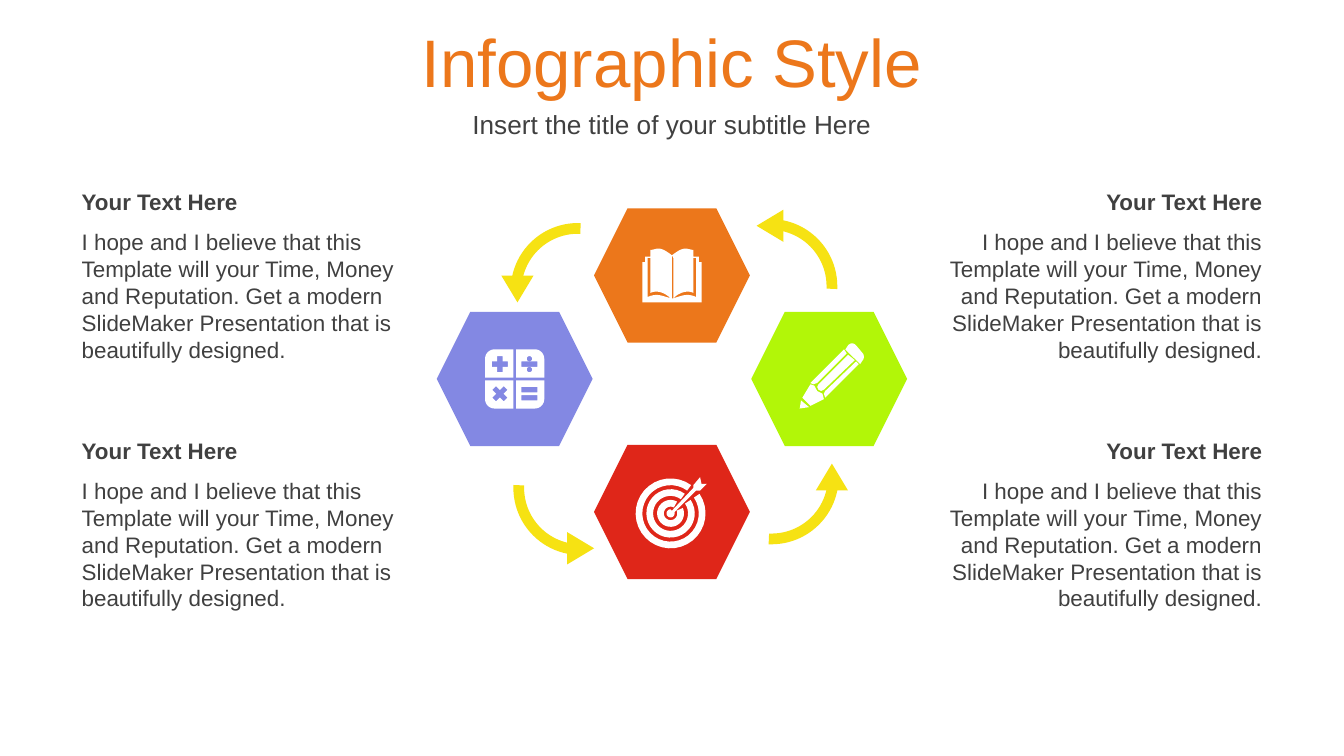
from math import cos, sin, radians
from pptx import Presentation
from pptx.dml.color import RGBColor
from pptx.enum.shapes import MSO_SHAPE as Shape
from pptx.enum.text import MSO_ANCHOR as Anchor, PP_ALIGN as Align
from pptx.util import Inches, Pt

ORANGE, VIOLET, LIME, RED = "EC771B", "8388E3", "B2F608", "DF2619"
YELLOW, WHITE, GREY = "F6E213", "FFFFFF", "404040"
HEADING = "Your Text Here"
BODY = ("I hope and I believe that this Template will your Time, Money and "
        "Reputation. Get a modern SlideMaker Presentation that is beautifully designed.")


def color(code):
    return RGBColor.from_string(code)


def arc(x, y, radius, start, end, steps=32):
    angles = [radians(start + (end - start) * i / steps) for i in range(steps + 1)]
    return [(x + radius * cos(a), y + radius * sin(a)) for a in angles]


def curve(p0, p1, p2, p3, steps=8):
    points = []
    for i in range(steps + 1):
        t = i / steps
        weights = (1 - t) ** 3, 3 * t * (1 - t) ** 2, 3 * t * t * (1 - t), t ** 3
        points.append(tuple(sum(w * p[axis] for w, p in zip(weights, (p0, p1, p2, p3)))
                            for axis in (0, 1)))
    return points


def bar(left, top, right, bottom):
    return [(left, top), (right, top), (right, bottom), (left, bottom)]


def mirror(points, axis):
    return [(2 * axis - x, y) for x, y in reversed(points)]


def plus(x, y, turn=0, arm=0.06, half=0.02):
    c, s = cos(radians(turn)), sin(radians(turn))
    corners = [(arm, -half), (arm, half), (half, half), (half, arm), (-half, arm),
               (-half, half), (-arm, half), (-arm, -half), (-half, -half),
               (-half, -arm), (half, -arm), (half, -half)]
    return [(x + a * c - b * s, y + a * s + b * c) for a, b in corners]


def book():
    spine = 5
    half = (curve((spine, 1.9), (5.04, 1.87), (5.07, 1.85), (5.1, 1.85))
            + curve((5.1, 1.85), (5.12, 1.85), (5.14, 1.86), (5.16, 1.86))
            + [(5.16, 1.91), (5.2, 1.91), (5.2, 1.95), (5.22, 1.95), (5.22, 2.25)])
    leaf = (curve((5.01, 2.22), (5.08, 2.2), (5.11, 2.18), (5.18, 2.21))
            + [(5.18, 1.92), (5.16, 1.92)]
            + curve((5.16, 2.18), (5.12, 2.16), (5.06, 2.17), (5.01, 2.22)))
    slit = [(spine, 1.9), (5.01, 1.92), (5.01, 2.22), (spine, 2.22)]
    return [half + mirror(half, spine), leaf, mirror(leaf, spine), slit]


def target():
    x, y = 4.99, 3.82
    rings = [arc(x, y, outer, start, end) + arc(x, y, inner, end, start)
             for outer, inner, start, end in ((0.1, 0.05, -24, 299),
                                              (0.18, 0.13, -34, 306),
                                              (0.26, 0.21, -34, 306))]
    arrow = ([(5.16, 3.63), (5.16, 3.61), (5.21, 3.55), (5.22, 3.6), (5.26, 3.6),
              (5.21, 3.65), (5.18, 3.65), (5.02, 3.81)]
             + arc(x, y, 0.03, 0, 270) + [(5, 3.8)])
    return [*rings, arrow]


def calculator():
    x, y = 3.83, 2.82
    tile = [(0, 0), (0.21, 0)] + arc(0.14, 0.14, 0.07, 0, 90) + [(0, 0.21)]
    tiles = [[(x + across * (a + 0.01), y + down * (b + 0.01)) for a, b in tile]
             for across in (-1, 1) for down in (-1, 1)]
    bars = [bar(3.88, top, 4, top + 0.04) for top in (2.69, 2.88, 2.94)]
    dots = [arc(3.94, dot, 0.02, 0, 360) for dot in (2.67, 2.75)]
    return [*tiles, *bars, *dots, plus(3.72, 2.71), plus(3.72, 2.93, 45)]


def pencil():
    tip = [(6.02, 3.03), (5.96, 2.98), (5.95, 3.04)]
    wood = [(6.13, 2.97), (6.12, 2.93), (6.08, 2.91), (6.06, 2.87), (6.03, 2.86),
            (5.97, 2.96), (6.03, 3.02)]
    upper = [(6.3, 2.63), (6.28, 2.6), (6.03, 2.85), (6.05, 2.86), (6.08, 2.85)]
    middle = [(6.36, 2.68), (6.31, 2.64), (6.09, 2.86), (6.08, 2.88), (6.09, 2.9),
              (6.11, 2.91), (6.13, 2.9)]
    lower = [(6.39, 2.71), (6.37, 2.69), (6.14, 2.91), (6.13, 2.93), (6.14, 2.96)]
    eraser = ([(6.29, 2.6)] + curve((6.31, 2.57), (6.33, 2.55), (6.35, 2.55), (6.37, 2.57))
              + curve((6.42, 2.63), (6.43, 2.64), (6.43, 2.67), (6.42, 2.68)) + [(6.4, 2.71)])
    return [tip, wood, upper, middle, lower, eraser]


class SlideBuilder:
    font = "Arial"

    def __init__(self, deck):
        self.page = deck.slides.add_slide(deck.slide_layouts[6])

    def paint(self, shape, fill):
        shape.shadow.inherit = False
        shape.fill.solid()
        shape.fill.fore_color.rgb = color(fill)
        shape.line.fill.background()

    def shape(self, kind, left, top, width, height, fill, turn=0, adjustments=()):
        shape = self.page.shapes.add_shape(
            kind, Inches(left), Inches(top), Inches(width), Inches(height))
        shape.rotation = turn
        for index, value in enumerate(adjustments):
            shape.adjustments[index] = value
        self.paint(shape, fill)

    def icon(self, contours, fill):
        outlines = [[(Inches(x), Inches(y)) for x, y in points] for points in contours]
        builder = self.page.shapes.build_freeform(*outlines[0][0])
        for index, (start, *rest) in enumerate(outlines):
            if index:
                builder.move_to(*start)
            builder.add_line_segments(rest, close=True)
        self.paint(builder.convert_to_shape(), fill)

    def text(self, words, left, top, width, height, size=12, fill=GREY, bold=False,
             align=Align.LEFT, anchor=Anchor.TOP):
        box = self.page.shapes.add_textbox(
            Inches(left), Inches(top), Inches(width), Inches(height))
        frame = box.text_frame
        frame.word_wrap = True
        frame.vertical_anchor = anchor
        para = frame.paragraphs[0]
        para.text = words
        para.alignment = align
        para.font.name = self.font
        para.font.size = Pt(size)
        para.font.bold = bold
        para.font.color.rgb = color(fill)


def main():
    deck = Presentation()
    deck.slide_width = Inches(10)
    deck.slide_height = Inches(10 * 9 / 16)
    slide = SlideBuilder(deck)

    slide.text("Infographic Style", 0, 0.14, 10, 0.63, 36, ORANGE,
               align=Align.CENTER, anchor=Anchor.MIDDLE)
    slide.text("Insert the title of your subtitle Here", 0, 0.77, 10, 0.31, 14,
               align=Align.CENTER, anchor=Anchor.MIDDLE)

    for left, top, fill in ((4.42, 1.55, ORANGE), (3.25, 2.32, VIOLET),
                            (5.59, 2.32, LIME), (4.42, 3.31, RED)):
        slide.shape(Shape.HEXAGON, left, top, 1.16, 1, fill)

    arrows = ((3.8, 1.66, 0, 3.73, 2.05), (3.82, 3.13, 270, 4.2, 3.98),
              (5.24, 3.05, 180, 6.07, 3.45), (5.23, 1.63, 90, 5.61, 1.58))
    for left, top, turn, head_left, head_top in arrows:
        slide.shape(Shape.BLOCK_ARC, left, top, 1, 1, YELLOW, turn, (108, 163.46, 0.08))
        slide.shape(Shape.ISOSCELES_TRIANGLE, head_left, head_top, 0.24, 0.2, YELLOW,
                    (turn + 180) % 360)

    for contours in (book(), target(), calculator(), pencil()):
        slide.icon(contours, WHITE)

    for left, align in ((0.51, Align.LEFT), (6.89, Align.RIGHT)):
        for top in (1.35, 3.2):
            slide.text(BODY, left, top + 0.3, 2.6, 1.11, align=align)
            slide.text(HEADING, left, top, 2.6, 0.3, bold=True, align=align)

    deck.save("out.pptx")


if __name__ == "__main__":
    main()
